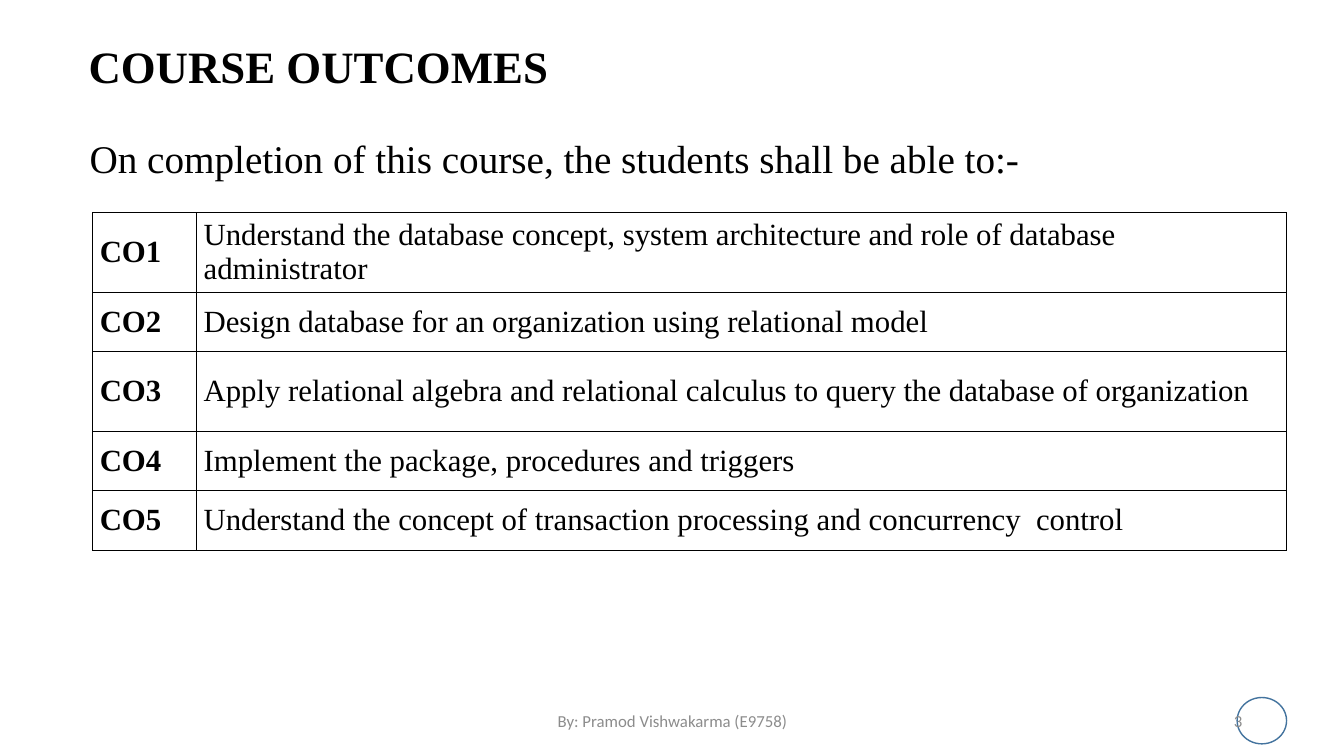
from lxml.etree import SubElement
from pptx import Presentation
from pptx.dml.color import RGBColor
from pptx.enum.shapes import MSO_SHAPE
from pptx.enum.text import MSO_ANCHOR, PP_ALIGN
from pptx.oxml.ns import qn
from pptx.util import Emu, Pt

PX = 9144  # EMU per px, 100 px to the inch
BLACK = RGBColor(0x00, 0x00, 0x00)
GRAY = RGBColor(0x8C, 0x8C, 0x8C)
BLUE = RGBColor(0x43, 0x73, 0x9E)

HEADING = {"name": "Times New Roman", "size": Pt(32), "bold": True}
INTRO = {"name": "Times New Roman", "size": Pt(28), "bold": False}
CODE = {"name": "Times New Roman", "size": Pt(22), "bold": True}
OUTCOME = {**CODE, "bold": False}
FOOTER = {"name": "Calibri", "size": Pt(12), "bold": False}

OUTCOMES = [  # text, row height, space before
    ("Understand the database concept, system architecture and role of "
     "database administrator", 79, 4.3),
    ("Design database for an organization using relational model", 59, 4.3),
    ("Apply relational algebra and relational calculus to query the "
     "database of organization", 79, 4.3),
    ("Implement the package, procedures and triggers", 59, 0),
    ("Understand the concept of transaction processing and concurrency  control", 59, 0),
]


class CourseSlide:
    def __init__(self, deck):
        self.slide = deck.slides.add_slide(deck.slide_layouts[6])
        self.shapes = self.slide.shapes

    def box(self, *lengths):
        return [Emu(length * PX) for length in lengths]

    def fill_text(self, frame, text, style, color, **layout):
        paragraph = frame.paragraphs[0]
        for key, value in layout.items():
            setattr(paragraph, key, value)
        run = paragraph.add_run()
        run.text = text
        for key, value in style.items():
            setattr(run.font, key, value)
        run.font.color.rgb = color

    def text(self, place, text, style, color=BLACK, anchor=MSO_ANCHOR.MIDDLE,
             wrap=True, **layout):
        frame = self.shapes.add_textbox(*self.box(*place)).text_frame
        frame.word_wrap = wrap
        frame.vertical_anchor = anchor
        self.fill_text(frame, text, style, color, **layout)

    def ring(self, place, color):
        ring = self.shapes.add_shape(MSO_SHAPE.OVAL, *self.box(*place))
        ring.shadow.inherit = False
        ring.fill.background()
        ring.line.color.rgb = color
        ring.line.width = Pt(1)

    def cell(self, cell, text, style, **layout):
        margins = {"margin_left": 7, "margin_right": 7,
                   "margin_top": 0, "margin_bottom": 0}
        for key, value in margins.items():
            setattr(cell, key, Emu(value * PX))
        cell.vertical_anchor = MSO_ANCHOR.MIDDLE
        # Borders come before the fill in the cell properties
        properties = cell._tc.get_or_add_tcPr()
        for side in ("a:lnL", "a:lnR", "a:lnT", "a:lnB"):
            border = SubElement(properties, qn(side), w=str(Pt(1)))
            fill = SubElement(border, qn("a:solidFill"))
            SubElement(fill, qn("a:srgbClr"), val=str(BLACK))
        cell.fill.background()
        self.fill_text(cell.text_frame, text, style, BLACK, **layout)

    def outcome_table(self, place, widths, outcomes):
        table = self.shapes.add_table(
            len(outcomes), len(widths), *self.box(*place)).table
        table.first_row = table.horz_banding = False
        for column, width in zip(table.columns, widths):
            column.width = Emu(width * PX)
        for index, (outcome, height, before) in enumerate(outcomes):
            table.rows[index].height = Emu(height * PX)
            self.cell(table.cell(index, 0), f"CO{index + 1}", CODE)
            self.cell(table.cell(index, 1), outcome, OUTCOME,
                      space_before=Pt(before))


def main():
    deck = Presentation()
    deck.slide_width, deck.slide_height = Emu(1333 * PX), Emu(750 * PX)
    course = CourseSlide(deck)

    # Heading and introduction
    course.text((78, 38, 1217, 59), "COURSE OUTCOMES", HEADING,
                anchor=MSO_ANCHOR.BOTTOM, line_spacing=0.9)
    course.text((79, 128, 971, 57),
                "On completion of this course, the students shall be able to:-",
                INTRO, anchor=MSO_ANCHOR.TOP, wrap=False)

    # Outcomes
    heights = [height for _, height, _ in OUTCOMES]
    course.outcome_table((92, 211, 1184, sum(heights)), (103, 1081), OUTCOMES)

    # Footer
    course.ring((1227, 692, 49, 46), BLUE)
    course.text((442, 695, 450, 40), "By: Pramod Vishwakarma (E9758)", FOOTER,
                GRAY, alignment=PP_ALIGN.CENTER)
    course.text((942, 695, 300, 40), "3", FOOTER, GRAY,
                alignment=PP_ALIGN.RIGHT)

    deck.save("out.pptx")


if __name__ == "__main__":
    main()
